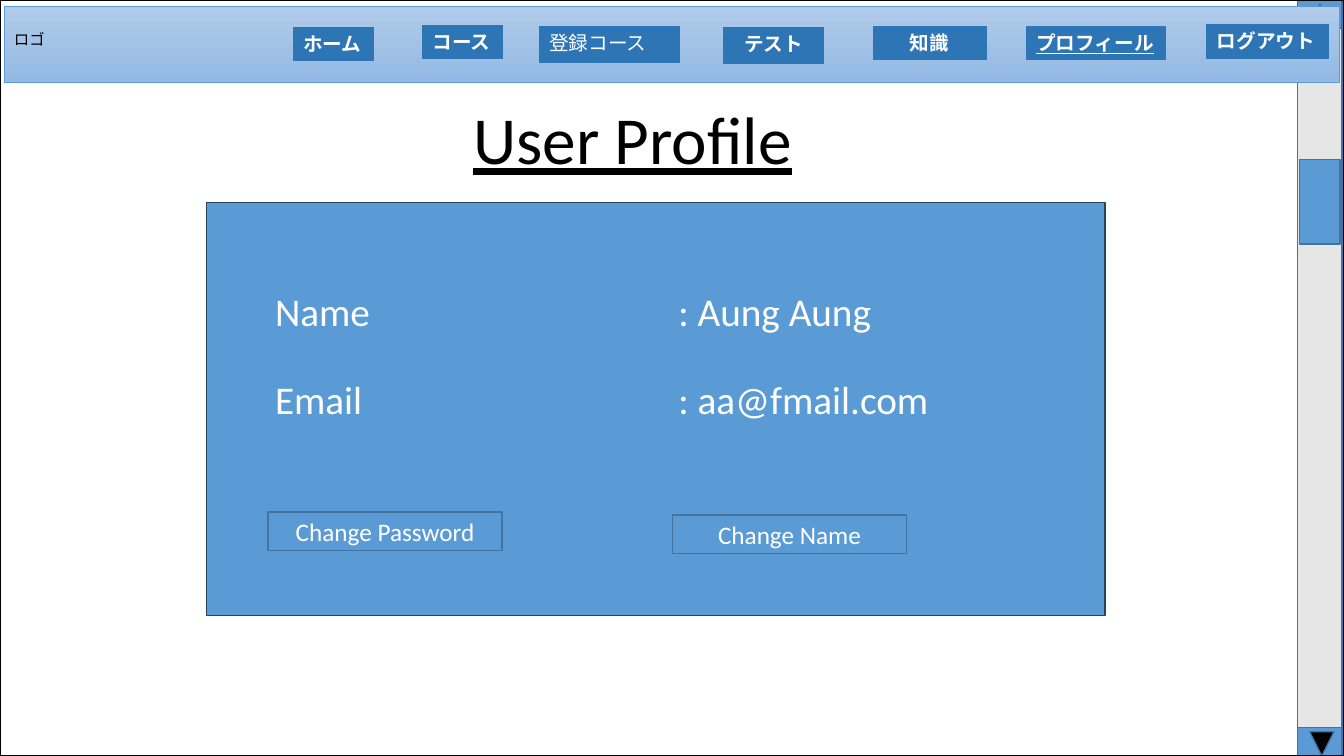
from pptx import Presentation
from pptx.dml.color import RGBColor
from pptx.enum.shapes import MSO_SHAPE
from pptx.enum.text import MSO_ANCHOR, MSO_AUTO_SIZE, PP_ALIGN
from pptx.oxml.xmlchemy import OxmlElement
from pptx.util import Inches, Pt

BLACK = RGBColor(0x00, 0x00, 0x00)
WHITE = RGBColor(0xFF, 0xFF, 0xFF)
BLUE = RGBColor(0x5B, 0x9B, 0xD5)
OUTLINE = RGBColor(0x43, 0x73, 0x9E)
PANEL_EDGE = RGBColor(0x28, 0x44, 0x5D)
NAV_BLUE = RGBColor(0x2E, 0x75, 0xB6)
TRACK_GREY = RGBColor(0xE7, 0xE6, 0xE6)
BAR_TOP = RGBColor(0xB1, 0xCB, 0xE9)
BAR_BOTTOM = RGBColor(0x93, 0xB9, 0xE4)

WIDTH, HEIGHT = 13.33, 7.5
FONT = "Calibri"
LEFT, CENTER = PP_ALIGN.LEFT, PP_ALIGN.CENTER

TITLE = "User Profile"
LOGO = "ロゴ"
DETAILS = [("Name", ": Aung Aung"), ("Email", ": aa@fmail.com")]
BUTTONS = [("Change Password", 2.66, 5.08), ("Change Name", 6.67, 5.11)]
# label, box, alignment, text format
NAV = [
    ("ホーム", (2.91, 0.27, 0.8, 0.33), LEFT, {"bold": True}),
    ("コース", (4.19, 0.25, 0.79, 0.33), LEFT, {"bold": True}),
    ("登録コース", (5.35, 0.26, 1.39, 0.36), LEFT, {}),
    ("テスト", (7.18, 0.27, 0.99, 0.36), CENTER, {"bold": True}),
    ("知識", (8.66, 0.26, 1.12, 0.33), CENTER, {"bold": True}),
    ("プロフィール", (10.18, 0.26, 1.38, 0.33), LEFT, {"bold": True, "underline": True}),
    ("ログアウト", (11.97, 0.24, 1.21, 0.34), LEFT, {"bold": True}),
]
TRACK_X, TRACK_W, ARROW_H = 12.87, 0.44, 0.28
VALUE_TAB = 4.0

prs = Presentation()
prs.slide_width, prs.slide_height = Inches(WIDTH), Inches(HEIGHT)
slide = prs.slides.add_slide(prs.slide_layouts[5])


def write(shape, text, size, color=WHITE, align=LEFT, anchor=MSO_ANCHOR.TOP,
          bold=False, underline=False, tab=None):
    frame = shape.text_frame
    frame.word_wrap = True
    frame.auto_size = MSO_AUTO_SIZE.NONE
    frame.vertical_anchor = anchor
    paragraph = frame.paragraphs[0]
    paragraph.text = text
    paragraph.alignment = align
    if tab:
        tabs = OxmlElement("a:tabLst")
        stop = OxmlElement("a:tab")
        stop.set("pos", str(Inches(tab)))
        stop.set("algn", "l")
        tabs.append(stop)
        paragraph._p.get_or_add_pPr().append(tabs)
    font = paragraph.runs[0].font
    font.name, font.size = FONT, Pt(size)
    font.bold, font.underline = bold, underline
    font.color.rgb = color


def add_block(box, fill=BLUE, line=OUTLINE, weight=1, kind=MSO_SHAPE.RECTANGLE):
    block = slide.shapes.add_shape(kind, *map(Inches, box))
    block.shadow.inherit = False
    if fill is None:
        block.fill.background()
    else:
        block.fill.solid()
        block.fill.fore_color.rgb = fill
    block.line.color.rgb = line
    block.line.width = Pt(weight)
    return block


def add_label(box, text, size, **text_format):
    label = slide.shapes.add_textbox(*map(Inches, box))
    write(label, text, size, **text_format)


title = slide.shapes.title
title.left, title.top, title.width, title.height = map(Inches, (4.11, 0.92, 4.33, 0.91))
write(title, TITLE, 48, color=BLACK, align=CENTER, underline=True)

# Profile panel
add_block((2.05, 2.01, 8.91, 4.1), line=PANEL_EDGE)
for row, (field, value) in enumerate(DETAILS):
    add_label((2.63, 2.8 + 0.87 * row, 8.33, 0.57), f"{field}\t{value}", 28, tab=VALUE_TAB)
for caption, x, y in BUTTONS:
    button = add_block((x, y, 2.32, 0.38))
    write(button, caption, 18, align=CENTER, anchor=MSO_ANCHOR.MIDDLE)

# Scroll bar
add_block((TRACK_X, 0, TRACK_W, HEIGHT), fill=TRACK_GREY)
for y in (0, HEIGHT - ARROW_H):
    add_block((TRACK_X, y, TRACK_W, ARROW_H))
TRIANGLE = MSO_SHAPE.ISOSCELES_TRIANGLE
add_block((12.99, 0.04, 0.2, 0.21), fill=BLACK, kind=TRIANGLE)
down_arrow = add_block((12.99, 7.26, 0.24, 0.24), fill=BLACK, kind=TRIANGLE)
down_arrow.rotation = 180
add_block((12.89, 1.58, 0.4, 0.84))

# Page frame
add_block((0, 0, WIDTH, HEIGHT), fill=None, line=BLACK)

# Navigation bar
bar = add_block((0.04, 0.06, 13.24, 0.76), line=BLUE, weight=0.5)
bar.fill.gradient()
bar.fill.gradient_angle = 270
for stop, color in zip(bar.fill.gradient_stops, (BAR_TOP, BAR_BOTTOM)):
    stop.color.rgb = color
add_label((0.04, 0.25, 1.4, 0.42), LOGO, 11, color=BLACK)
for caption, box, align, text_format in NAV:
    tab_button = add_block(box, fill=NAV_BLUE, line=NAV_BLUE, weight=0.75)
    write(tab_button, caption, 14, align=align, **text_format)

prs.save("out.pptx")
